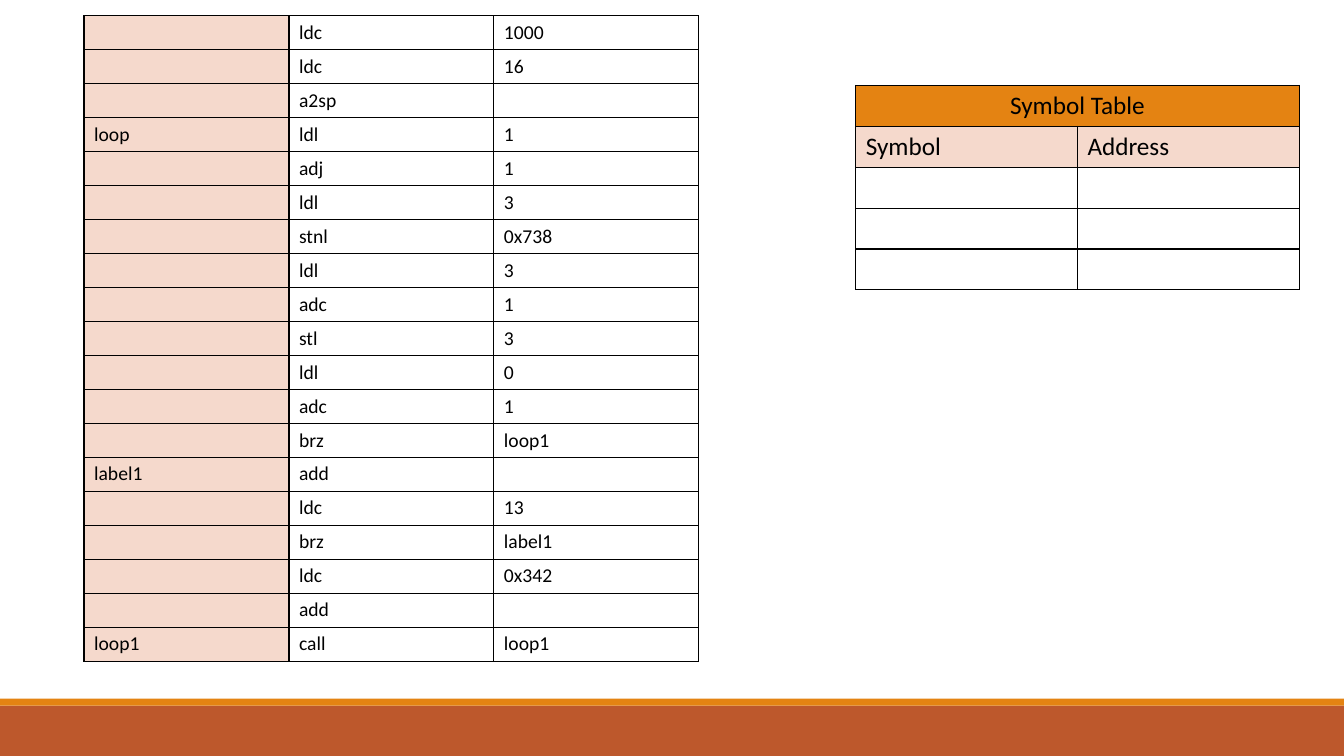
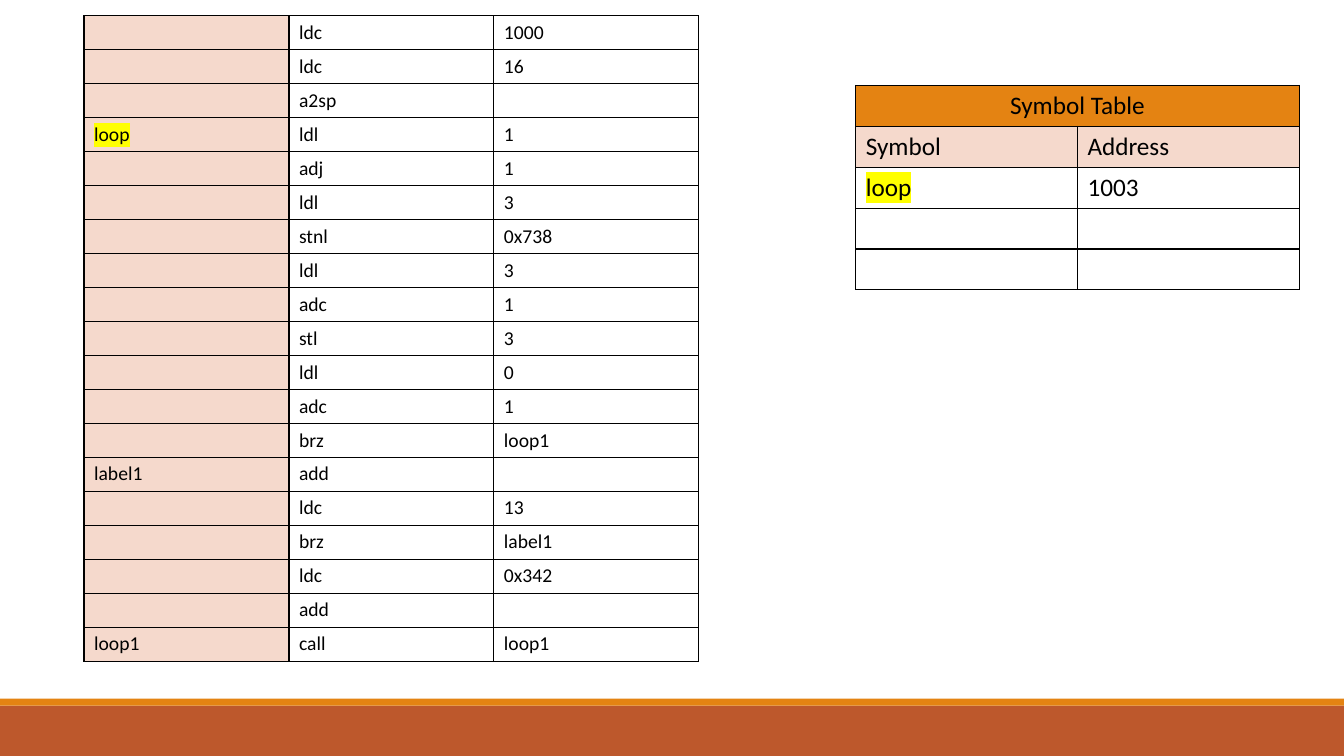
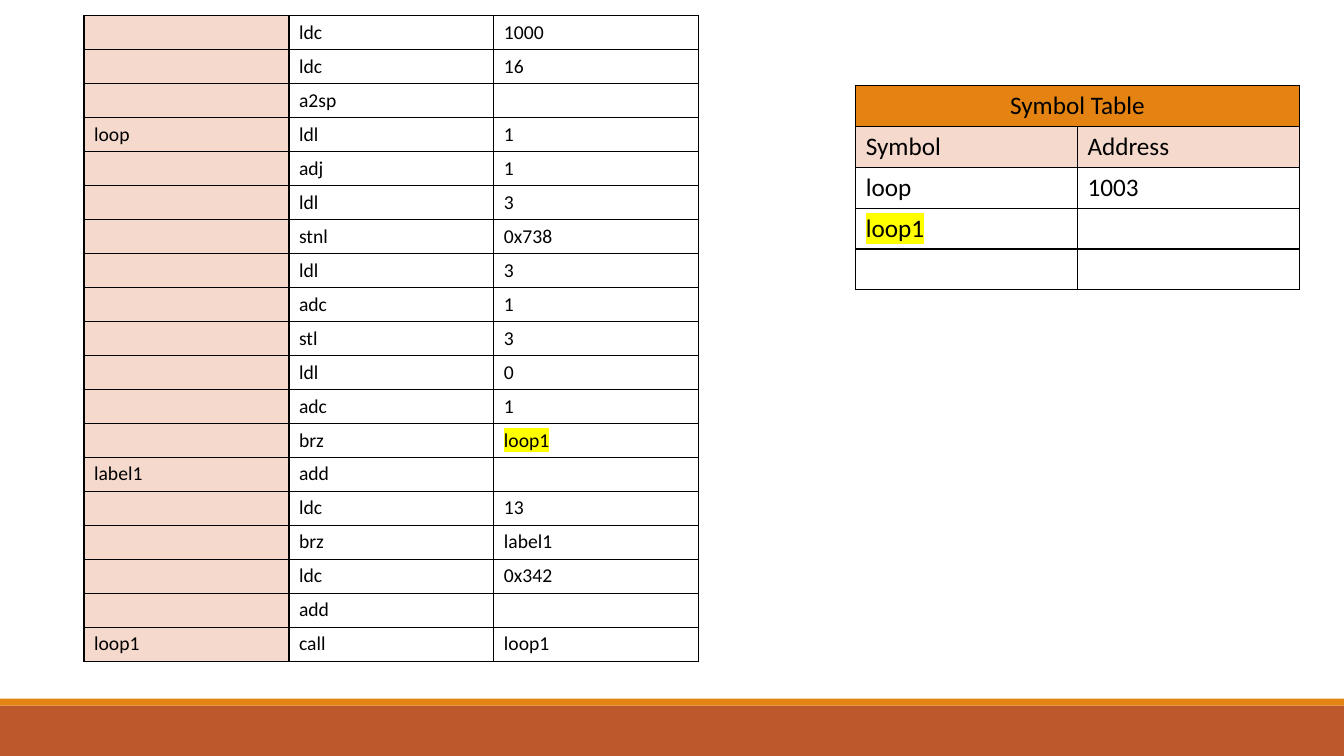
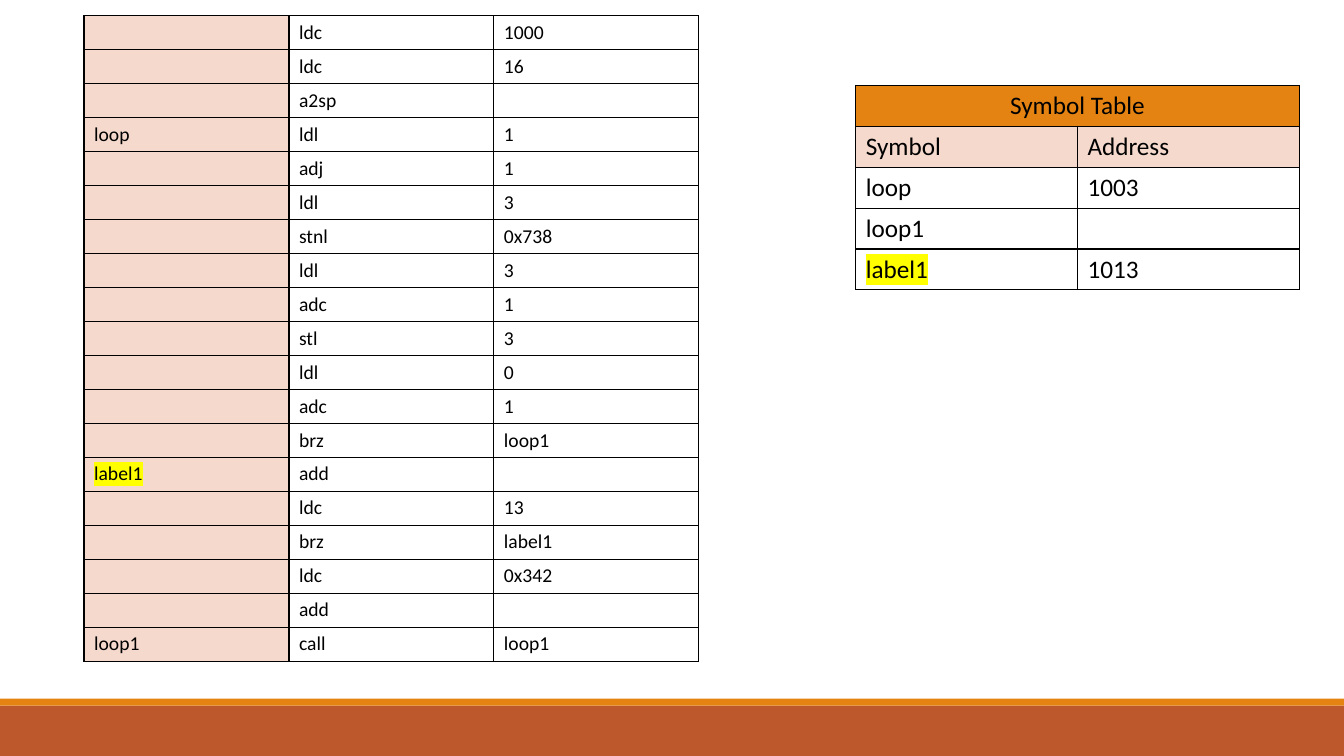
from dataclasses import dataclass
from typing import NamedTuple, Optional

from lxml.etree import SubElement
from pptx import Presentation
from pptx.dml.color import RGBColor
from pptx.enum.shapes import MSO_SHAPE
from pptx.enum.text import PP_ALIGN
from pptx.oxml.ns import qn
from pptx.slide import Slide, SlideLayout
from pptx.table import Table, _Cell
from pptx.util import Pt

SLIDE_WIDTH, SLIDE_HEIGHT = 960, 540
FONT = "Calibri"
BLACK = "000000"
ORANGE = "E48312"
RUST = "BD582C"
PEACH = "F5D9CC"
YELLOW = "FFFF00"
BORDER_WIDTH = 1
SYMBOL_ROWS = 3


class Band(NamedTuple):
    top: float
    height: float
    color: str


@dataclass(frozen=True)
class CellText:
    text: str = ""
    fill: Optional[str] = None
    highlighted: bool = False
    centered: bool = False


@dataclass(frozen=True)
class TableStyle:
    left: float
    top: float
    column_width: float
    row_height: float
    font_size: float


class Symbol(NamedTuple):
    name: str
    address: str = ""


@dataclass(frozen=True)
class Step:
    """The symbols known so far and the program cell being scanned."""
    symbols: tuple[Symbol, ...] = ()
    scanned_cell: Optional[tuple[int, int]] = None


BANDS = [Band(504, 36, RUST), Band(499, 5, ORANGE)]
PROGRAM_STYLE = TableStyle(60, 11.2, 146.4, 24, 14)
SYMBOL_STYLE = TableStyle(611.2, 61.1, 158.4, 29.2, 18)

PROGRAM = [
    ("", "ldc", "1000"),
    ("", "ldc", "16"),
    ("", "a2sp", ""),
    ("loop", "ldl", "1"),
    ("", "adj", "1"),
    ("", "ldl", "3"),
    ("", "stnl", "0x738"),
    ("", "ldl", "3"),
    ("", "adc", "1"),
    ("", "stl", "3"),
    ("", "ldl", "0"),
    ("", "adc", "1"),
    ("", "brz", "loop1"),
    ("label1", "add", ""),
    ("", "ldc", "13"),
    ("", "brz", "label1"),
    ("", "ldc", "0x342"),
    ("", "add", ""),
    ("loop1", "call", "loop1"),
]

SYMBOLS = (Symbol("loop", "1003"), Symbol("loop1"), Symbol("label1", "1013"))
STEPS = [
    Step(),
    Step(SYMBOLS[:1], (3, 0)),
    Step(SYMBOLS[:2], (12, 2)),
    Step(SYMBOLS, (13, 0)),
]


def rgb(color: str) -> RGBColor:
    return RGBColor.from_string(color)


def add_bands(slide: Slide, layout: SlideLayout) -> None:
    """Draw the bottom bands and move them to the layout that all slides share."""
    for placeholder in list(layout.placeholders):
        layout.shapes.element.remove(placeholder.element)
    for band in BANDS:
        shape = slide.shapes.add_shape(
            MSO_SHAPE.RECTANGLE, 0, Pt(band.top), Pt(SLIDE_WIDTH), Pt(band.height))
        shape.shadow.inherit = False
        shape.fill.solid()
        shape.fill.fore_color.rgb = rgb(band.color)
        shape.line.fill.background()
        layout.shapes.element.append(shape.element)


def add_borders(cell: _Cell) -> None:
    properties = cell._tc.get_or_add_tcPr()
    for position, side in enumerate(("lnL", "lnR", "lnT", "lnB")):
        line = SubElement(properties, qn(f"a:{side}"), w=str(Pt(BORDER_WIDTH)))
        properties.insert(position, line)
        fill = SubElement(line, qn("a:solidFill"))
        SubElement(fill, qn("a:srgbClr"), val=BLACK)


def write_cell(cell: _Cell, content: CellText, font_size: float) -> None:
    if content.fill:
        cell.fill.solid()
        cell.fill.fore_color.rgb = rgb(content.fill)
    else:
        cell.fill.background()
    add_borders(cell)

    paragraph = cell.text_frame.paragraphs[0]
    if content.centered:
        paragraph.alignment = PP_ALIGN.CENTER
    if not content.text:
        # An empty cell needs the size too, or its row grows.
        SubElement(paragraph._p, qn("a:endParaRPr"), sz=str(int(font_size * 100)))
        return
    run = paragraph.add_run()
    run.text = content.text
    run.font.size = Pt(font_size)
    run.font.color.rgb = rgb(BLACK)
    if content.highlighted:
        highlight = SubElement(run._r.get_or_add_rPr(), qn("a:highlight"))
        SubElement(highlight, qn("a:srgbClr"), val=YELLOW)
    run.font.name = FONT


def add_grid(slide: Slide, rows: list[list[CellText]], style: TableStyle) -> Table:
    row_count, column_count = len(rows), len(rows[0])
    table = slide.shapes.add_table(
        row_count, column_count, Pt(style.left), Pt(style.top),
        Pt(style.column_width * column_count), Pt(style.row_height * row_count)).table
    table.first_row = False
    table.horz_banding = False
    for column in table.columns:
        column.width = Pt(style.column_width)
    for row_index, row in enumerate(rows):
        table.rows[row_index].height = Pt(style.row_height)
        for column_index, content in enumerate(row):
            write_cell(table.cell(row_index, column_index), content, style.font_size)
    return table


def add_program(slide: Slide, step: Step) -> None:
    rows = [
        [CellText(text, PEACH if column == 0 else None, (row, column) == step.scanned_cell)
         for column, text in enumerate(instruction)]
        for row, instruction in enumerate(PROGRAM)
    ]
    add_grid(slide, rows, PROGRAM_STYLE)


def add_symbol_table(slide: Slide, step: Step) -> None:
    """Show the known symbols, with the newest one highlighted."""
    rows = [
        [CellText("Symbol Table", ORANGE, centered=True), CellText(fill=ORANGE)],
        [CellText("Symbol", PEACH), CellText("Address", PEACH)],
    ]
    newest = len(step.symbols) - 1
    for index, symbol in enumerate(step.symbols):
        rows.append([CellText(symbol.name, highlighted=index == newest),
                     CellText(symbol.address)])
    rows += [[CellText(), CellText()]] * (SYMBOL_ROWS - len(step.symbols))
    table = add_grid(slide, rows, SYMBOL_STYLE)
    table.cell(0, 0).merge(table.cell(0, 1))


def main() -> None:
    presentation = Presentation()
    presentation.slide_width = Pt(SLIDE_WIDTH)
    presentation.slide_height = Pt(SLIDE_HEIGHT)
    blank_layout = presentation.slide_layouts[6]
    for index, step in enumerate(STEPS):
        slide = presentation.slides.add_slide(blank_layout)
        if index == 0:
            add_bands(slide, blank_layout)
        add_program(slide, step)
        add_symbol_table(slide, step)
    presentation.save("out.pptx")


if __name__ == "__main__":
    main()
